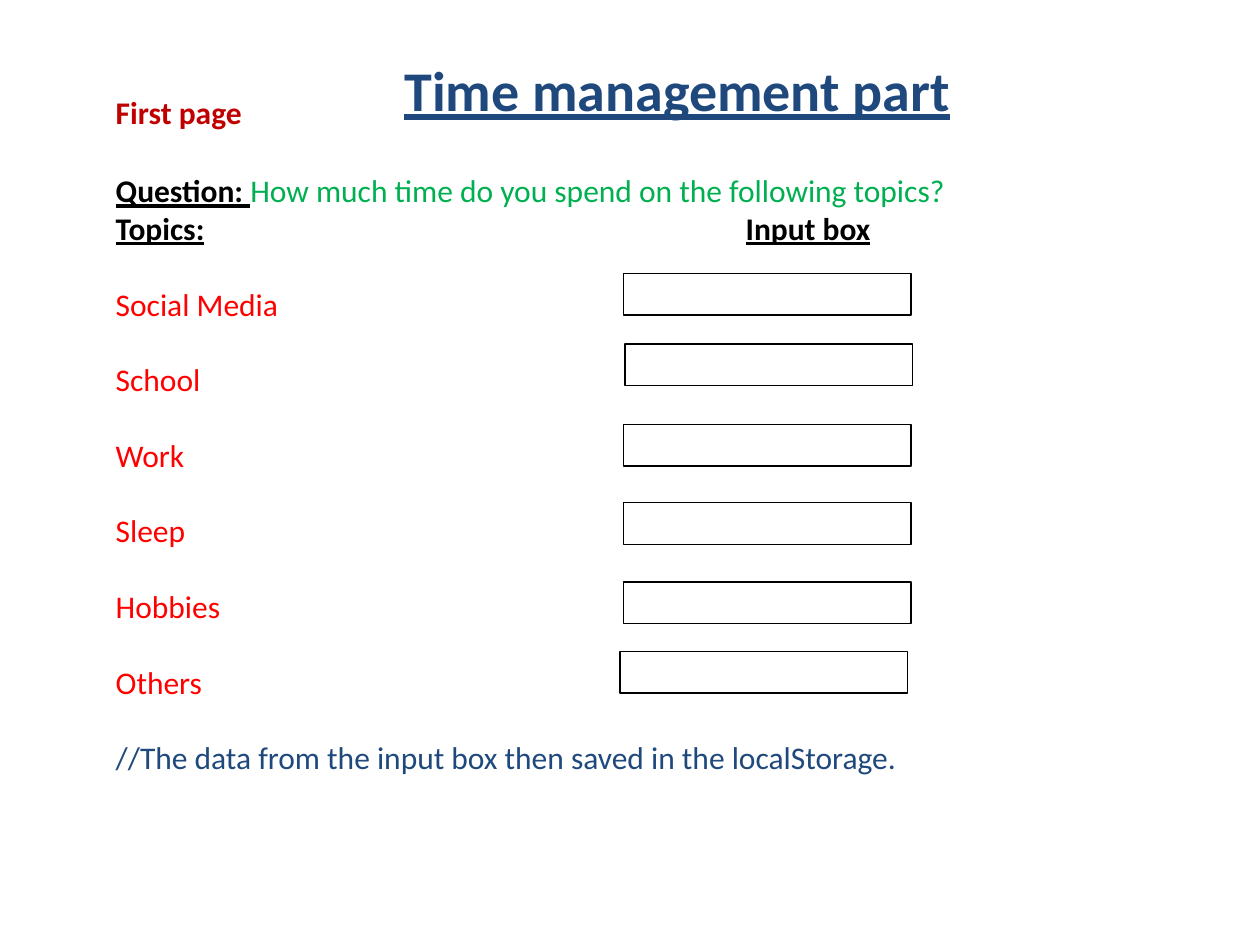
"""Build the time management slide with its topics and input boxes."""
from lxml.etree import SubElement
from pptx import Presentation
from pptx.dml.color import RGBColor
from pptx.enum.shapes import MSO_SHAPE
from pptx.enum.text import MSO_ANCHOR, PP_ALIGN
from pptx.oxml.ns import qn
from pptx.util import Inches, Pt

THEME = {
    "font": "Calibri",
    "line": 0.75,
    "gap": 21.6,
    "black": "000000",
    "styles": {
        "title": {"size": 32, "color": "1F497D", "bold": True, "underline": True},
        "page": {"size": 18, "color": "C00000", "bold": True},
        "label": {"size": 18, "color": "000000", "bold": True, "underline": True},
        "plain": {"size": 18, "color": "000000"},
        "question": {"size": 18, "color": "00B050"},
        "topic": {"size": 18, "color": "FF0000"},
        "note": {"size": 18, "color": "1F497D"},
    },
}

TITLE = [[("Time management part", "title")]]
PAGE = [[("First page", "page")]]
HEADINGS = [
    [("Question: ", "label"),
     ("How much time do you spend on the following topics?", "question")],
    [("Topics:", "label"), ("\t", "plain"), ("Input box", "label")],
]
TOPICS = [
    ("Social Media", 4.95, 2.17),
    ("School", 4.96, 2.73),
    ("Work", 4.95, 3.37),
    ("Sleep", 4.95, 3.99),
    ("Hobbies", 4.95, 4.62),
    ("Others", 4.92, 5.17),
]
NOTE = "//The data from the input box then saved in the localStorage."
INPUT_SIZE = (2.28, 0.33)
INPUT_TAB = 5


def place(sp, *box):
    for name, value in zip(("left", "top", "width", "height"), box):
        setattr(sp, name, Inches(value))


def write(tf, paragraphs, spaced_from=None):
    tf.word_wrap = True
    tf.vertical_anchor = MSO_ANCHOR.TOP
    for i, runs in enumerate(paragraphs):
        p = tf.add_paragraph() if i else tf.paragraphs[0]
        p.alignment = PP_ALIGN.LEFT
        if spaced_from is not None and i >= spaced_from:
            p.space_before = Pt(THEME["gap"])
        for text, style in runs:
            r = p.add_run()
            r.text = text
            fmt = {"bold": False, "underline": False, **THEME["styles"][style]}
            r.font.color.rgb = RGBColor.from_string(fmt.pop("color"))
            fmt.update(name=THEME["font"], size=Pt(fmt["size"]))
            for name, value in fmt.items():
                setattr(r.font, name, value)


def add_text(s, box, paragraphs, spaced_from=None):
    sp = s.shapes.add_textbox(*map(Inches, box))
    write(sp.text_frame, paragraphs, spaced_from)
    return sp.text_frame


def add_tab(p, position):
    tabs = SubElement(p._p.get_or_add_pPr(), qn("a:tabLst"))
    SubElement(tabs, qn("a:tab"), pos=str(Inches(position)), algn="l")


def add_input(s, left, top):
    sp = s.shapes.add_shape(MSO_SHAPE.RECTANGLE, *map(Inches, (left, top, *INPUT_SIZE)))
    sp.shadow.inherit = False
    sp.fill.background()
    sp.line.color.rgb = RGBColor.from_string(THEME["black"])
    sp.line.width = Pt(THEME["line"])


prs = Presentation()
prs.slide_width, prs.slide_height = Inches(10), Inches(7.5)
s = prs.slides.add_slide(prs.slide_layouts[5])

place(s.shapes.title, 3.11, 0.39, 4.96, 0.64)
write(s.shapes.title.text_frame, TITLE)

items = [[(topic, "topic")] for topic, _, _ in TOPICS] + [[(NOTE, "note")]]
tf = add_text(s, (0.82, 1.31, 8.5, 4.95), HEADINGS + items, len(HEADINGS))
add_tab(tf.paragraphs[1], INPUT_TAB)

for _, left, top in TOPICS:
    add_input(s, left, top)

add_text(s, (0.82, 0.69, 2.2, 0.4), PAGE)
prs.save("out.pptx")
